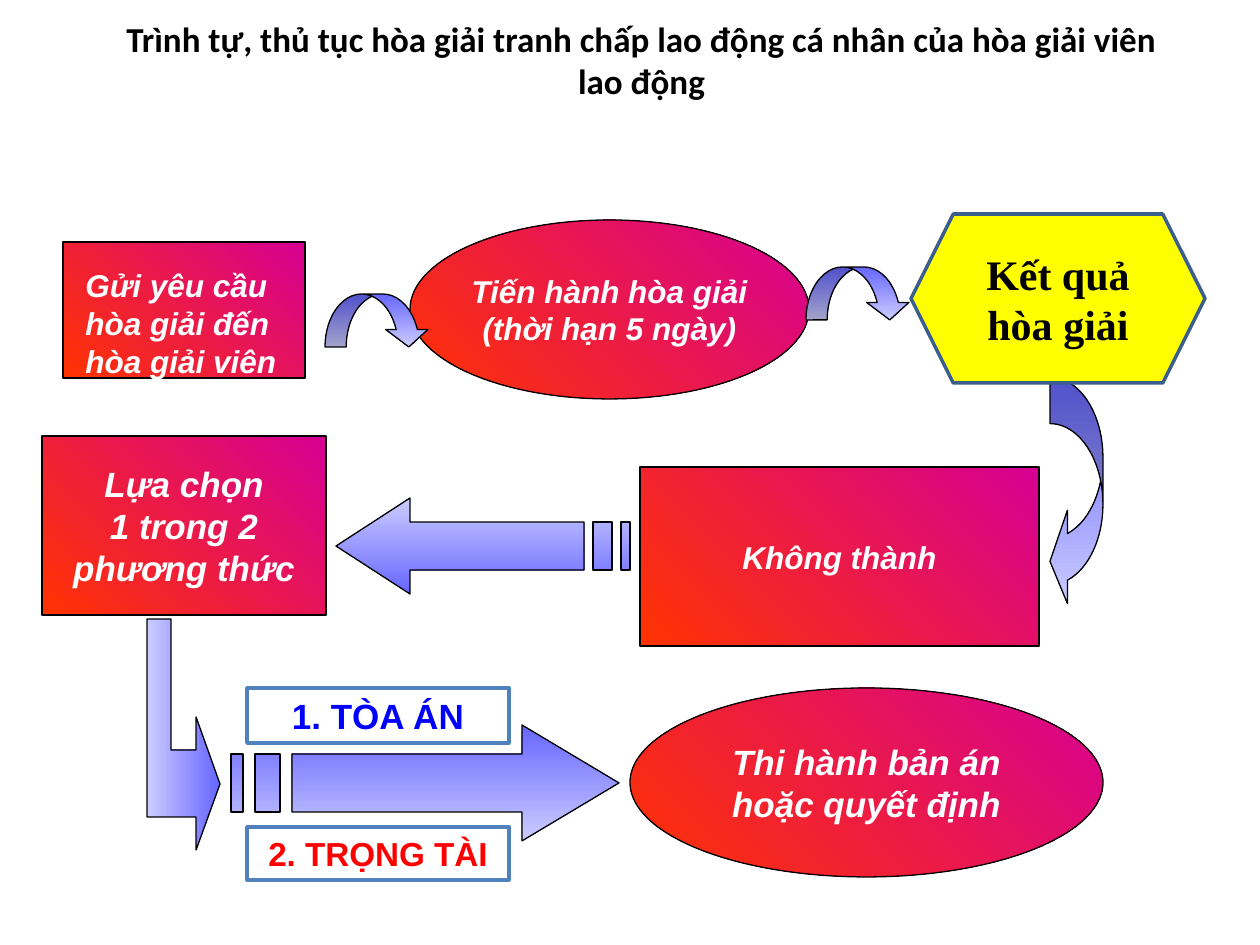
from dataclasses import dataclass

from pptx import Presentation
from pptx.dml.color import RGBColor
from pptx.enum.shapes import MSO_SHAPE
from pptx.enum.text import MSO_ANCHOR, MSO_AUTO_SIZE, PP_ALIGN
from pptx.util import Emu, Pt

EMU_PER_PX = 914400 / 126

BLACK = RGBColor(0x00, 0x00, 0x00)
WHITE = RGBColor(0xFF, 0xFF, 0xFF)
BLUE = RGBColor(0x00, 0x00, 0xFF)
RED = RGBColor(0xFF, 0x00, 0x00)
YELLOW = RGBColor(0xFF, 0xFF, 0x00)
ORANGE_RED = RGBColor(0xFF, 0x33, 0x00)
MAGENTA = RGBColor(0xD6, 0x00, 0x93)
VIOLET = RGBColor(0x66, 0x66, 0xFF)
LAVENDER = RGBColor(0xCC, 0xCC, 0xFF)
STEEL = RGBColor(0x4F, 0x81, 0xBD)
DARK_STEEL = RGBColor(0x3A, 0x5F, 0x8C)


@dataclass
class Box:
    x: int
    y: int
    w: int
    h: int


@dataclass
class Step:
    kind: MSO_SHAPE
    box: Box
    text: str = ""
    size: int = 18


@dataclass
class FlatBox:
    kind: MSO_SHAPE
    box: Box
    fill: RGBColor
    line: RGBColor
    text: str
    fmt: dict


@dataclass
class CurvedArrow:
    kind: MSO_SHAPE
    box: Box
    adj: tuple


STEPS = [
    Step(MSO_SHAPE.OVAL, Box(410, 220, 399, 179),
         "Tiến hành hòa giải\n(thời hạn 5 ngày)"),
    Step(MSO_SHAPE.RECTANGLE, Box(640, 467, 399, 179), "Không thành"),
    Step(MSO_SHAPE.RECTANGLE, Box(63, 242, 242, 136)),
    Step(MSO_SHAPE.RECTANGLE, Box(42, 436, 284, 179),
         "Lựa chọn\n1 trong 2\nphương thức", 20),
    Step(MSO_SHAPE.OVAL, Box(630, 688, 473, 189),
         "Thi hành bản án\nhoặc quyết định", 20),
]
CURVED_ARROWS = [
    CurvedArrow(MSO_SHAPE.CURVED_LEFT_ARROW, Box(1050, 377, 53, 231), (0.88, 1.76, 0.33)),
    CurvedArrow(MSO_SHAPE.CURVED_DOWN_ARROW, Box(806, 267, 105, 53), (0.4, 0.8, 0.33)),
    CurvedArrow(MSO_SHAPE.CURVED_DOWN_ARROW, Box(325, 294, 105, 53), (0.4, 0.8, 0.33)),
]
FLAT_BOXES = [
    FlatBox(MSO_SHAPE.HEXAGON, Box(911, 214, 294, 169), YELLOW, DARK_STEEL,
            "Kết quả hòa giải",
            dict(size=24, font="Times New Roman", color=BLACK, italic=False)),
    FlatBox(MSO_SHAPE.RECTANGLE, Box(247, 688, 262, 55), WHITE, STEEL, "1. TÒA ÁN",
            dict(size=20, color=BLUE, italic=False, anchor=MSO_ANCHOR.TOP)),
    FlatBox(MSO_SHAPE.RECTANGLE, Box(247, 827, 262, 53), WHITE, STEEL, "2. TRỌNG TÀI",
            dict(size=19, color=RED, italic=False, anchor=MSO_ANCHOR.TOP)),
]
ELBOW = [(165, 0), (98, 24), (131, 24), (131, 49), (0, 49), (0, 73),
         (198, 73), (198, 24), (231, 24)]


def px(n: float) -> Emu:
    return Emu(round(n * EMU_PER_PX))


def place(box: Box) -> tuple:
    return px(box.x), px(box.y), px(box.w), px(box.h)


def write(tf, text: str, *, size=18, font="Arial", color=WHITE, italic=True,
          align=PP_ALIGN.CENTER, anchor=MSO_ANCHOR.MIDDLE, wrap=True) -> None:
    tf.word_wrap = wrap
    tf.auto_size = MSO_AUTO_SIZE.NONE
    tf.vertical_anchor = anchor
    for i, line in enumerate(text.split("\n")):
        p = tf.paragraphs[0] if i == 0 else tf.add_paragraph()
        p.alignment = align
        r = p.add_run()
        r.text = line
        r.font.name = font
        r.font.size = Pt(size)
        r.font.bold = True
        r.font.italic = italic
        r.font.color.rgb = color


def outline(sp, color: RGBColor = BLACK, width: float = 0.75) -> None:
    sp.shadow.inherit = False
    sp.line.color.rgb = color
    sp.line.width = Pt(width)


def shade(sp, start: RGBColor, end: RGBColor, angle: int) -> None:
    sp.fill.gradient()
    sp.fill.gradient_angle = angle
    for stop, color in zip(sp.fill.gradient_stops, (start, end)):
        stop.color.rgb = color
    outline(sp)


def add_step(s, step: Step) -> None:
    sp = s.shapes.add_shape(step.kind, *place(step.box))
    shade(sp, ORANGE_RED, MAGENTA, 45)
    if step.text:
        write(sp.text_frame, step.text, size=step.size, wrap=False)


def add_curved_arrow(s, arrow: CurvedArrow) -> None:
    sp = s.shapes.add_shape(arrow.kind, *place(arrow.box))
    for i, value in enumerate(arrow.adj):
        sp.adjustments[i] = value
    shade(sp, VIOLET, LAVENDER, 270)


def add_flat_box(s, item: FlatBox) -> None:
    sp = s.shapes.add_shape(item.kind, *place(item.box))
    sp.fill.solid()
    sp.fill.fore_color.rgb = item.fill
    outline(sp, item.line, 2)
    write(sp.text_frame, item.text, **item.fmt)


def add_outline_arrow(s, x: int, y: int, contours: list, rotation: int = 0) -> None:
    """Draw closed contours, given relative to (x, y), as one shape."""
    paths = [[(x + dx, y + dy) for dx, dy in contour] for contour in contours]
    builder = s.shapes.build_freeform(*paths[0][0], scale=EMU_PER_PX)
    for i, path in enumerate(paths):
        if i:
            builder.move_to(*path[0])
        builder.add_line_segments(path[1:], close=True)
    sp = builder.convert_to_shape()
    sp.rotation = rotation
    shade(sp, VIOLET, LAVENDER, 270)


def add_striped_arrow(s, box: Box, rotation: int = 0) -> None:
    w, h = box.w, box.h
    top, bottom, neck = h / 4, h * 3 / 4, w * 3 / 4
    head = [(neck, 0), (neck, top), (w * 5 / 32, top), (w * 5 / 32, bottom),
            (neck, bottom), (neck, h), (w, h / 2)]
    stripes = [[(w * a / 32, top), (w * a / 32, bottom),
                (w * b / 32, bottom), (w * b / 32, top)] for a, b in ((2, 4), (0, 1))]
    add_outline_arrow(s, box.x, box.y, [head, *stripes], rotation)


def main() -> None:
    prs = Presentation()
    prs.slide_width, prs.slide_height = px(1260), px(945)
    s = prs.slides.add_slide(prs.slide_layouts[5])

    # Title
    title = s.shapes.title
    title.left, title.top, title.width, title.height = place(Box(111, -9, 1061, 136))
    write(title.text_frame,
          "Trình tự, thủ tục hòa giải tranh chấp lao động cá nhân của hòa giải viên lao động",
          size=20, font="Calibri", color=BLACK, italic=False, wrap=False)

    # Steps of the procedure
    for step in STEPS:
        add_step(s, step)
    request = s.shapes.add_textbox(*place(Box(73, 260, 221, 127)))
    write(request.text_frame, "Gửi yêu cầu hòa giải đến hòa giải viên",
          align=PP_ALIGN.LEFT, anchor=MSO_ANCHOR.TOP)

    # Curved arrows, then the result and the two options
    for arrow in CURVED_ARROWS:
        add_curved_arrow(s, arrow)
    for item in FLAT_BOXES:
        add_flat_box(s, item)

    # Block arrows
    add_striped_arrow(s, Box(336, 498, 294, 96), rotation=180)
    add_striped_arrow(s, Box(231, 725, 388, 116))
    add_outline_arrow(s, 68, 698, [ELBOW], rotation=90)

    prs.save("out.pptx")


if __name__ == "__main__":
    main()
